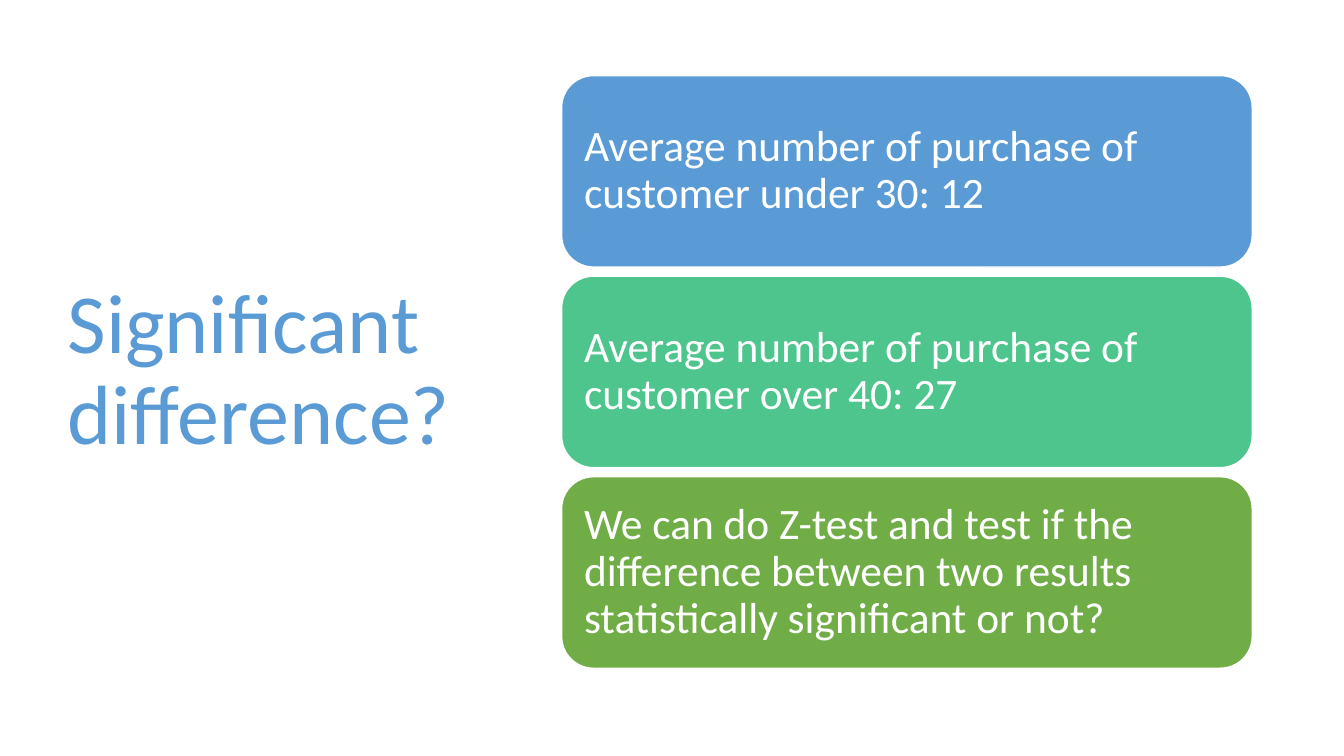
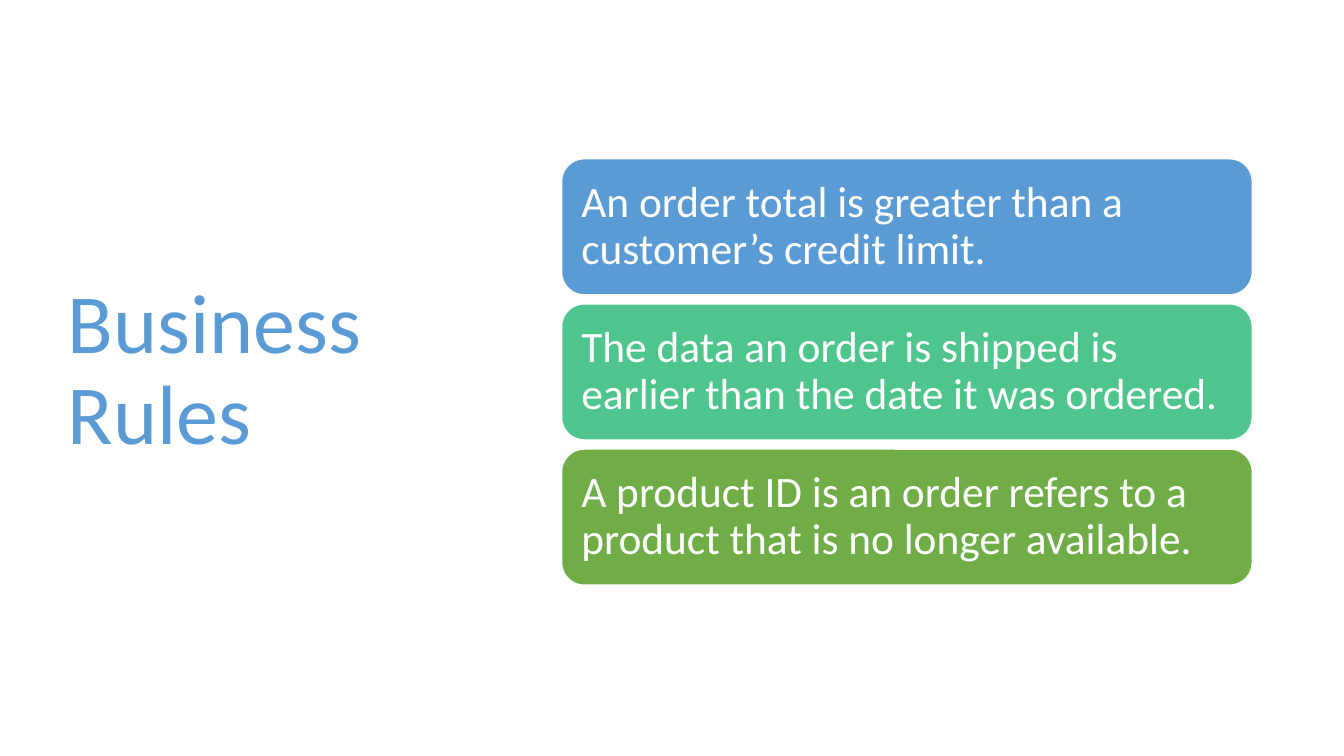
from pptx import Presentation
from pptx import util as u
from pptx.dml import color
from pptx.enum import shapes, text

SLIDE_W, SLIDE_H = 13.33, 7.5
TITLE_AREA = (0.57, 0.68, 4.16, 6.02)
CARD_LEFT, CARD_WIDTH, CARD_GAP = 5.57, 6.85, 0.09
TITLE_FRAME_MIDDLE = TITLE_AREA[1] + TITLE_AREA[3] / 2

WHITE = "FFFFFF"
CARD_COLOURS = ["5B9BD5", "4DC58D", "70AD47"]
TITLE_STYLE = {"size": 60, "colour": CARD_COLOURS[0], "inset": 0.1}
CARD_STYLE = {"size": 31, "colour": WHITE, "inset": 0.13}

TOPICS = [
    {
        "title": "Significant difference?",
        "card_height": 1.9,
        "cards": [
            "Average number of purchase of customer under 30: 12",
            "Average number of purchase of customer over 40: 27",
            "We can do Z-test and test if the difference between two results "
            "statistically significant or not?",
        ],
    },
    {
        "title": "Business Rules",
        "card_height": 1.35,
        "cards": [
            "An order total is greater than a customer’s credit limit.",
            "The data an order is shipped is earlier than the date it was ordered.",
            "A product ID is an order refers to a product that is no longer available.",
        ],
    },
]


def rgb(value):
    return color.RGBColor.from_string(value)


def assign(target, values):
    for name, value in values.items():
        setattr(target, name, value)


def write(frame, wording, style):
    frame.text = wording
    inset = u.Inches(style["inset"])
    assign(frame, {
        "word_wrap": True,
        "auto_size": text.MSO_AUTO_SIZE.NONE,
        "vertical_anchor": text.MSO_ANCHOR.MIDDLE,
        "margin_left": inset,
        "margin_right": inset,
        "margin_top": inset,
        "margin_bottom": inset,
    })
    paragraph = frame.paragraphs[0]
    assign(paragraph, {"alignment": text.PP_ALIGN.LEFT, "line_spacing": 0.9})
    font = paragraph.runs[0].font
    assign(font, {"name": "Calibri", "size": u.Pt(style["size"])})
    font.color.rgb = rgb(style["colour"])


def add_title(slide, wording):
    title = slide.shapes.title
    left, top, width, height = map(u.Inches, TITLE_AREA)
    assign(title, {"left": left, "top": top, "width": width, "height": height})
    write(title.text_frame, wording, TITLE_STYLE)


def add_cards(slide, cards, height):
    pitch = height + CARD_GAP
    first_top = TITLE_FRAME_MIDDLE - (len(cards) * pitch - CARD_GAP) / 2
    for row, (wording, fill) in enumerate(zip(cards, CARD_COLOURS)):
        area = (CARD_LEFT, first_top + row * pitch, CARD_WIDTH, height)
        card = slide.shapes.add_shape(
            shapes.MSO_SHAPE.ROUNDED_RECTANGLE, *map(u.Inches, area))
        card.shadow.inherit = False
        card.fill.solid()
        card.fill.fore_color.rgb = rgb(fill)
        card.line.color.rgb = rgb(WHITE)
        card.line.width = u.Pt(1)
        write(card.text_frame, wording, CARD_STYLE)


def main():
    deck = Presentation()
    assign(deck, {"slide_width": u.Inches(SLIDE_W), "slide_height": u.Inches(SLIDE_H)})
    title_only = deck.slide_layouts.get_by_name("Title Only")
    for topic in TOPICS:
        slide = deck.slides.add_slide(title_only)
        add_title(slide, topic["title"])
        add_cards(slide, topic["cards"], topic["card_height"])
    deck.save("out.pptx")


if __name__ == "__main__":
    main()
